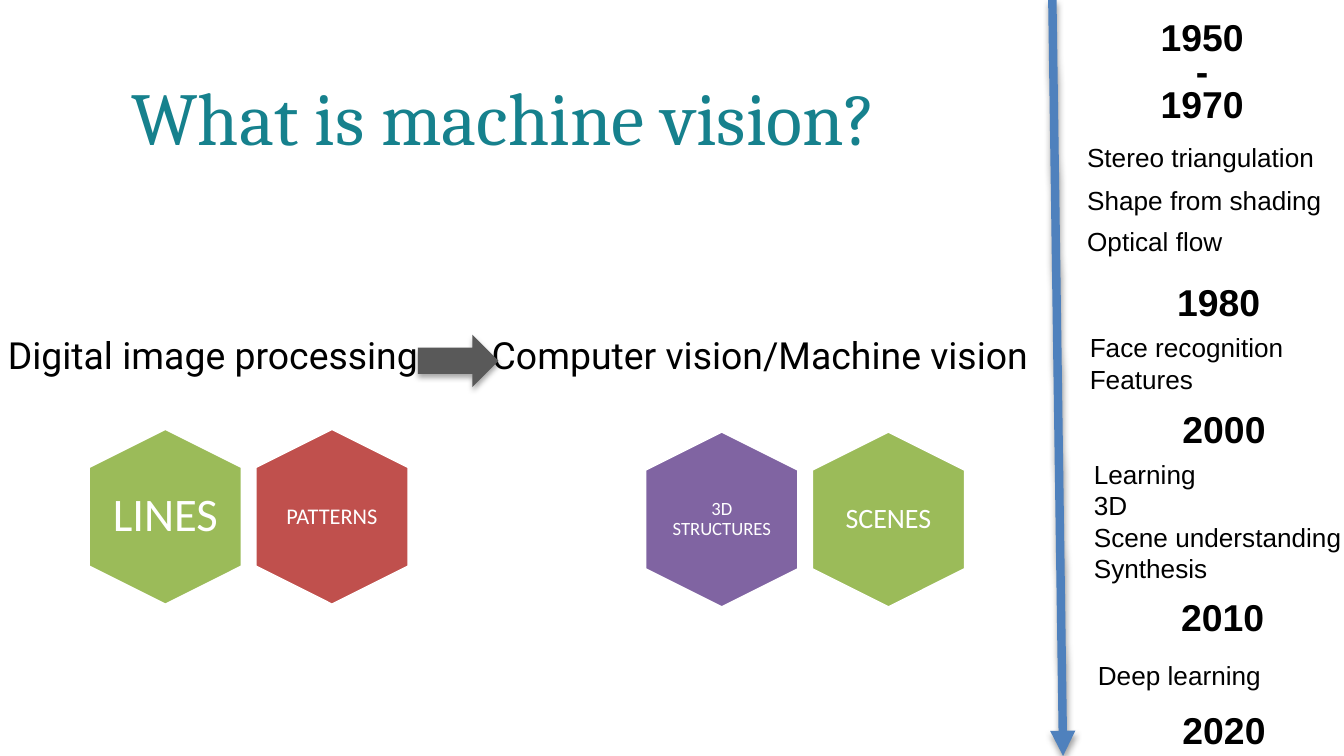
from lxml import etree
from pptx import Presentation
from pptx.dml.color import RGBColor
from pptx.enum.shapes import MSO_CONNECTOR, MSO_SHAPE
from pptx.enum.text import MSO_ANCHOR, MSO_AUTO_SIZE, PP_ALIGN
from pptx.oxml.ns import qn
from pptx.util import Inches, Pt

CENTER, LEFT = PP_ALIGN.CENTER, PP_ALIGN.LEFT
TOP, MIDDLE = MSO_ANCHOR.TOP, MSO_ANCHOR.MIDDLE
GROW, FIXED = MSO_AUTO_SIZE.SHAPE_TO_FIT_TEXT, MSO_AUTO_SIZE.NONE
STRAIGHT = MSO_CONNECTOR.STRAIGHT
HEXAGON, RIGHT_ARROW = MSO_SHAPE.HEXAGON, MSO_SHAPE.RIGHT_ARROW

PAGE_WIDTH = Inches(10)
PAGE_HEIGHT = PAGE_WIDTH * 9 // 16

THEME = {
    "title": "16818D", "text": "000000", "white": "FFFFFF",
    "green": "9BBB59", "red": "C0504D", "purple": "8064A2",
    "arrow": "595959", "timeline": "4F81BD",
    "title_font": "Cambria", "field_font": "Roboto",
    "hexagon_font": "Calibri", "timeline_font": "Arial",
    "title_size": 40, "field_size": 20, "year_size": 20, "topic_size": 14,
}

TITLE = "What is machine vision?"

# text, left, width
FIELDS = [
    ("Digital image processing", -0.04, 3.3),
    ("Computer vision/Machine vision", 3.56, 4.25),
]

# left and top of the first hexagon; then label, fill, size, text inset
HEXAGON_PAIRS = [
    (0.57, 3.27, [("LINES", "green", 25, 0), ("PATTERNS", "red", 12, 0.05)]),
    (4.71, 3.29, [("3D STRUCTURES", "purple", 10, 0), ("SCENES", "green", 15, 0.06)]),
]
HEXAGON_WIDTH, HEXAGON_HEIGHT, HEXAGON_STEP = 1.32, 1.15, 1.24
LABEL_WIDTH, LABEL_HEIGHT = 0.79, 0.91

# text, left, top
YEARS = [
    ("1980", 8.66, 2.03),
    ("2000", 8.7, 2.97),
    ("2010", 8.69, 4.37),
    ("2020", 8.7, 5.21),
]
YEAR_WIDTH, YEAR_HEIGHT = 0.87, 0.44

# lines, left, top, width
TOPICS = [
    (["Stereo triangulation"], 7.99, 1, 1.9),
    (["Shape from shading"], 7.99, 1.32, 1.95),
    (["Optical flow"], 7.99, 1.63, 1.22),
    (["Face recognition", "Features"], 8.01, 2.42, 1.65),
    (["Learning", "3D", "Scene understanding", "Synthesis"], 8.04, 3.36, 2.05),
    (["Deep learning"], 8.07, 4.86, 1.42),
]
TOPIC_LINE, TOPIC_PADDING = 0.235, 0.1


def color(name):
    return RGBColor.from_string(THEME[name])


def add_text(shapes, lines, left, top, width, height, *, font, size, ink="text",
             bold=False, align=LEFT, anchor=TOP, spacing=None, inset=None,
             wrap=True, fit=FIXED):
    box = shapes.add_textbox(Inches(left), Inches(top), Inches(width), Inches(height))
    frame = box.text_frame
    frame.word_wrap, frame.auto_size, frame.vertical_anchor = wrap, fit, anchor
    if inset is not None:
        frame.margin_left = frame.margin_right = Inches(inset)
        frame.margin_top = frame.margin_bottom = Inches(inset)
    for index, line in enumerate(lines):
        para = frame.add_paragraph() if index else frame.paragraphs[0]
        para.alignment = align
        if spacing is not None:
            para.line_spacing = spacing
        span = para.add_run()
        span.text = line
        span.font.name, span.font.size, span.font.bold = THEME[font], Pt(size), bold
        span.font.color.rgb = color(ink)


def add_shadow(shape, blur, distance, opacity):
    """Give a shape or connector a soft black shadow straight below it."""
    effects = etree.SubElement(shape._element.spPr, qn("a:effectLst"))
    shadow = etree.SubElement(effects, qn("a:outerShdw"), blurRad=str(Pt(blur)),
                              dist=str(Pt(distance)), dir="5400000", rotWithShape="0")
    black = etree.SubElement(shadow, qn("a:srgbClr"), val="000000")
    etree.SubElement(black, qn("a:alpha"), val=str(opacity * 1000))


def add_hexagon(shapes, label, fill, size, inset, left, top):
    hexagon = shapes.add_shape(HEXAGON, Inches(left), Inches(top),
                               Inches(HEXAGON_WIDTH), Inches(HEXAGON_HEIGHT))
    hexagon.rotation = 90
    hexagon.shadow.inherit = False
    hexagon.fill.solid()
    hexagon.fill.fore_color.rgb = color(fill)
    hexagon.line.color.rgb = color("white")
    hexagon.line.width = Pt(2)
    add_text(shapes, [label], left + (HEXAGON_WIDTH - LABEL_WIDTH) / 2,
             top + (HEXAGON_HEIGHT - LABEL_HEIGHT) / 2, LABEL_WIDTH, LABEL_HEIGHT,
             font="hexagon_font", size=size, ink="white", align=CENTER,
             anchor=MIDDLE, spacing=0.9, inset=inset)


def add_timeline(shapes):
    line = shapes.add_connector(STRAIGHT, Inches(7.83), 0, Inches(7.91), PAGE_HEIGHT)
    line.line.color.rgb = color("timeline")
    line.line.width = Pt(4.5)
    etree.SubElement(line.line._get_or_add_ln(), qn("a:tailEnd"), type="triangle")
    add_shadow(line, 3.1, 1.6, 38)

    year_style = dict(font="timeline_font", size=THEME["year_size"], bold=True, fit=GROW)
    add_text(shapes, ["1950", "-", "1970"], 8.51, 0.14, YEAR_WIDTH, 0.86,
             align=CENTER, spacing=Pt(18), **year_style)
    for year, left, top in YEARS:
        add_text(shapes, [year], left, top, YEAR_WIDTH, YEAR_HEIGHT, **year_style)
    for lines, left, top, width in TOPICS:
        add_text(shapes, lines, left, top, width, TOPIC_PADDING + TOPIC_LINE * len(lines),
                 font="timeline_font", size=THEME["topic_size"], wrap=False, fit=GROW)


def main():
    deck = Presentation()
    deck.slide_width, deck.slide_height = PAGE_WIDTH, PAGE_HEIGHT
    page = deck.slides.add_slide(deck.slide_layouts[6])

    for first_left, top, hexagons in HEXAGON_PAIRS:
        pair = page.shapes.add_group_shape()
        for index, hexagon in enumerate(hexagons):
            add_hexagon(pair.shapes, *hexagon, first_left + index * HEXAGON_STEP, top)

    add_text(page.shapes, [TITLE], 0.98, 0.61, 7.29, 0.52, font="title_font",
             size=THEME["title_size"], ink="title", spacing=Pt(42), inset=0)
    for field, left, width in FIELDS:
        add_text(page.shapes, [field], left, 2.42, width, 0.43,
                 font="field_font", size=THEME["field_size"])

    arrow = page.shapes.add_shape(RIGHT_ARROW, Inches(3.11), Inches(2.49),
                                  Inches(0.6), Inches(0.39))
    arrow.fill.solid()
    arrow.fill.fore_color.rgb = color("arrow")
    arrow.line.fill.background()
    add_shadow(arrow, 3.1, 1.8, 35)

    add_timeline(page.shapes)
    deck.save("out.pptx")


if __name__ == "__main__":
    main()
